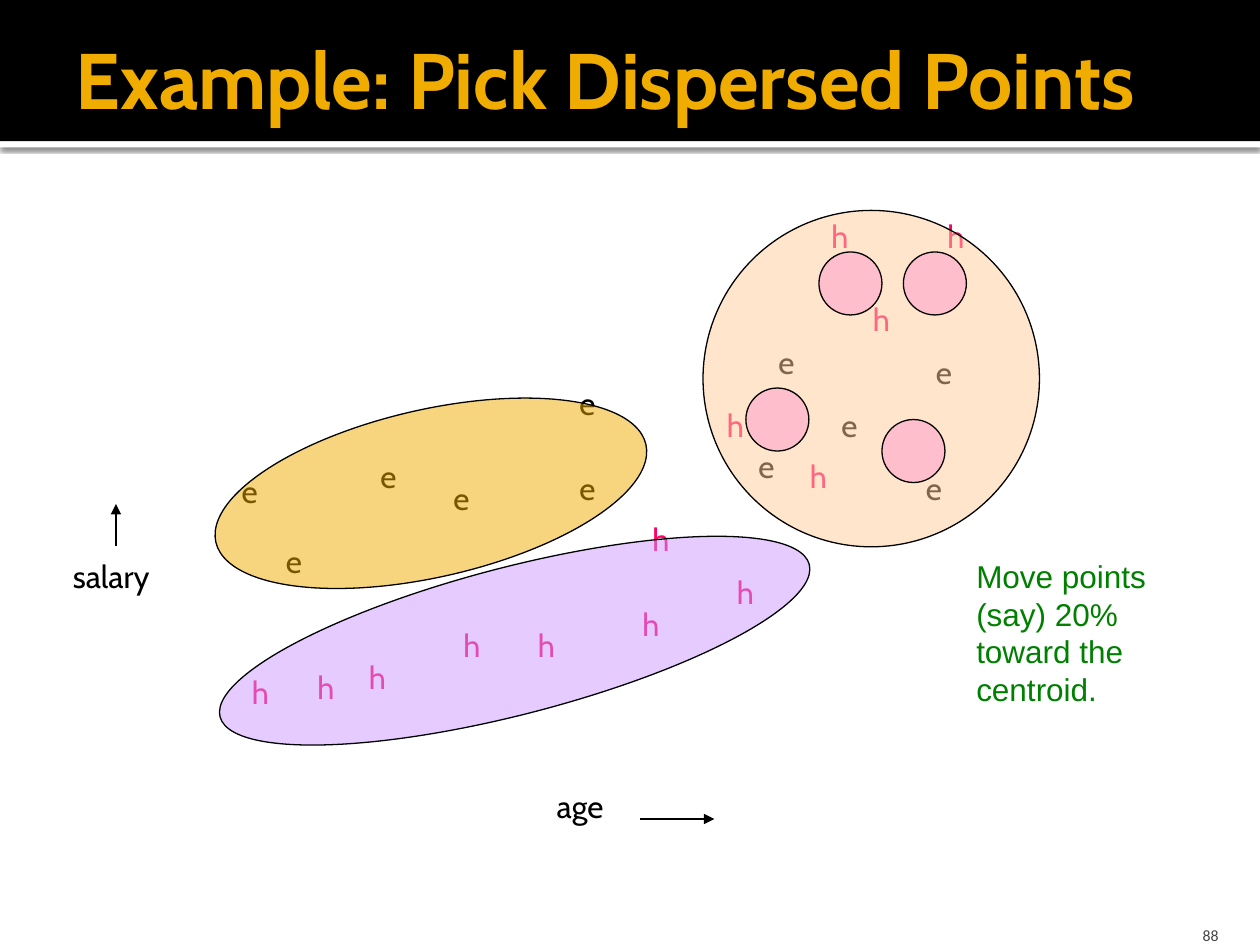
from lxml.etree import SubElement
from pptx import Presentation
from pptx.dml.color import RGBColor
from pptx.enum.shapes import MSO_CONNECTOR, MSO_SHAPE
from pptx.enum.text import MSO_ANCHOR, MSO_AUTO_SIZE, PP_ALIGN
from pptx.oxml import parse_xml
from pptx.oxml.ns import nsdecls, qn
from pptx.util import Inches, Pt

GOLD, BLACK, WHITE, ROSE = "F0AD00", "000000", "FFFFFF", "FF0066"

# Left and top of every letter mark
MARKS = {
    "e": (BLACK, 0.38, [
        (1.82, 3.7), (3.5, 3.75), (4.5, 3), (5.92, 3.5), (6.08, 2.67),
        (7.33, 2.75), (2.17, 4.25), (2.92, 3.58), (4.5, 3.67),
        (6.58, 3.17), (7.25, 3.67)]),
    "h": (ROSE, 0.39, [
        (1.9, 5.29), (5.67, 3.17), (5.75, 4.5), (6.33, 3.58), (6.83, 2.33),
        (7.42, 1.67), (3.58, 4.92), (4.17, 4.92), (5.08, 4.08), (5, 4.75),
        (6.5, 1.67), (2.42, 5.25), (2.83, 5.17)]),
}
# Left, top, width, height, fill, turn
GROUPS = [
    (1.67, 3.25, 3.5, 1.33, GOLD, 347.2),
    (5.58, 1.67, 2.67, 2.67, "FFCC99", 0),
    (1.67, 4.5, 4.83, 1.17, "CC99FF", 345.5),
]
PICKS = [(6.5, 2), (7.17, 2), (5.92, 3.08), (7, 3.33)]


def color(code):
    return RGBColor.from_string(code)


def write(frame, words, size=18, font="Cabin", ink=BLACK, bold=False,
          align=PP_ALIGN.LEFT):
    for i, line in enumerate(words.split("\n")):
        para = frame.paragraphs[0] if i == 0 else frame.add_paragraph()
        para.alignment = align
        run = para.add_run()
        run.text = line
        run.font.size = Pt(size)
        run.font.name = font
        run.font.bold = bold
        run.font.color.rgb = color(ink)


def label(slide, words, x, y, w, h=0.5, **style):
    frame = slide.shapes.add_textbox(*map(Inches, (x, y, w, h))).text_frame
    frame.word_wrap = False
    frame.auto_size = MSO_AUTO_SIZE.SHAPE_TO_FIT_TEXT
    write(frame, words, **style)


def band(slide, y, h, fill):
    shape = slide.shapes.add_shape(
        MSO_SHAPE.RECTANGLE, 0, Inches(y), Inches(10), Inches(h))
    shape.shadow.inherit = False
    shape.fill.solid()
    shape.fill.fore_color.rgb = color(fill)
    shape.line.fill.background()
    return shape


def shade(shape):
    effects = shape._element.spPr.find(qn("a:effectLst"))
    effects.append(parse_xml(
        f'<a:outerShdw {nsdecls("a")} blurRad="{Pt(2.5)}" dist="{Pt(0.8)}" '
        'dir="5400000" algn="tl" rotWithShape="0"><a:srgbClr val="000000">'
        '<a:alpha val="60000"/></a:srgbClr></a:outerShdw>'))


def oval(slide, x, y, w, h, fill, turn=0):
    shape = slide.shapes.add_shape(
        MSO_SHAPE.OVAL, *map(Inches, (x, y, w, h)))
    shape.shadow.inherit = False
    shape.rotation = turn
    shape.fill.solid()
    shape.fill.fore_color.rgb = color(fill)
    tint = shape._element.spPr.find(qn("a:solidFill"))[0]
    SubElement(tint, qn("a:alpha"), val="50000")
    shape.line.color.rgb = color(BLACK)
    shape.line.width = Pt(0.75)


def arrow(slide, *ends):
    link = slide.shapes.add_connector(
        MSO_CONNECTOR.STRAIGHT, *map(Inches, ends))
    link.line.color.rgb = color(BLACK)
    link.line.width = Pt(0.75)
    SubElement(link.line._get_or_add_ln(), qn("a:tailEnd"), type="triangle")
    SubElement(link._element.spPr, qn("a:effectLst"))


def header(slide):
    shade(band(slide, 1.12, 0.05, WHITE))
    band(slide, 0, 1.12, BLACK)
    title = slide.shapes.title
    title.left, title.top, title.width, title.height = map(
        Inches, (0.5, 0.08, 9, 1.08))
    frame = title.text_frame
    frame.vertical_anchor = MSO_ANCHOR.MIDDLE
    frame.auto_size = MSO_AUTO_SIZE.NONE
    frame.margin_left = Inches(0.1)
    frame.margin_right = frame.margin_top = frame.margin_bottom = Inches(0.05)
    write(frame, "Example: Pick Dispersed Points", size=45, ink=GOLD, bold=True)
    # Bring the title in front of the bands
    slide.shapes._spTree.append(title._element)


def number(slide):
    box = slide.shapes.add_textbox(*map(Inches, (8.97, 7.2, 0.8, 0.3)))
    frame = box.text_frame
    frame.word_wrap = True
    frame.vertical_anchor = MSO_ANCHOR.BOTTOM
    frame.margin_bottom = 0
    write(frame, "88", size=9, font="Calibri", ink="454545",
          align=PP_ALIGN.RIGHT)


def main():
    deck = Presentation()
    deck.slide_width, deck.slide_height = Inches(10), Inches(7.5)
    slide = deck.slides.add_slide(deck.slide_layouts[5])
    header(slide)
    number(slide)

    # Data points
    for mark, (ink, wide, spots) in MARKS.items():
        for x, y in spots:
            label(slide, mark, x, y, wide, ink=ink)

    # Axes
    label(slide, "salary", 0.48, 4.37, 1.06)
    label(slide, "age", 4.32, 6.2, 0.74)
    arrow(slide, 5.08, 6.5, 5.67, 6.5)
    arrow(slide, 0.92, 4.33, 0.92, 4)

    # Clusters and their picked points
    for group in GROUPS:
        oval(slide, *group)
    for x, y in PICKS:
        oval(slide, x, y, 0.5, 0.5, "FF99CC")

    # Remark
    label(slide, "Move points\n(say) 20%\ntoward the\ncentroid.",
          7.65, 4.37, 1.56, 1.31, font="Arial", ink="008000")
    deck.save("out.pptx")


if __name__ == "__main__":
    main()
